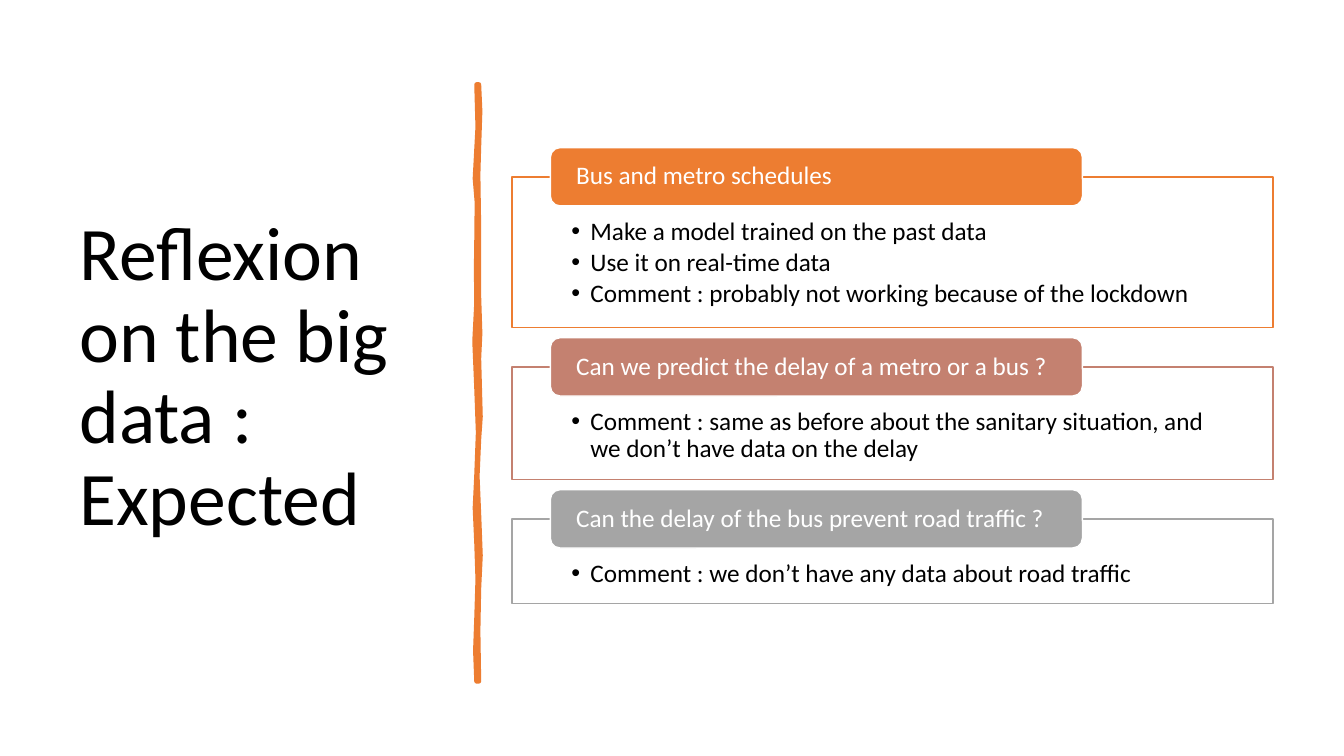
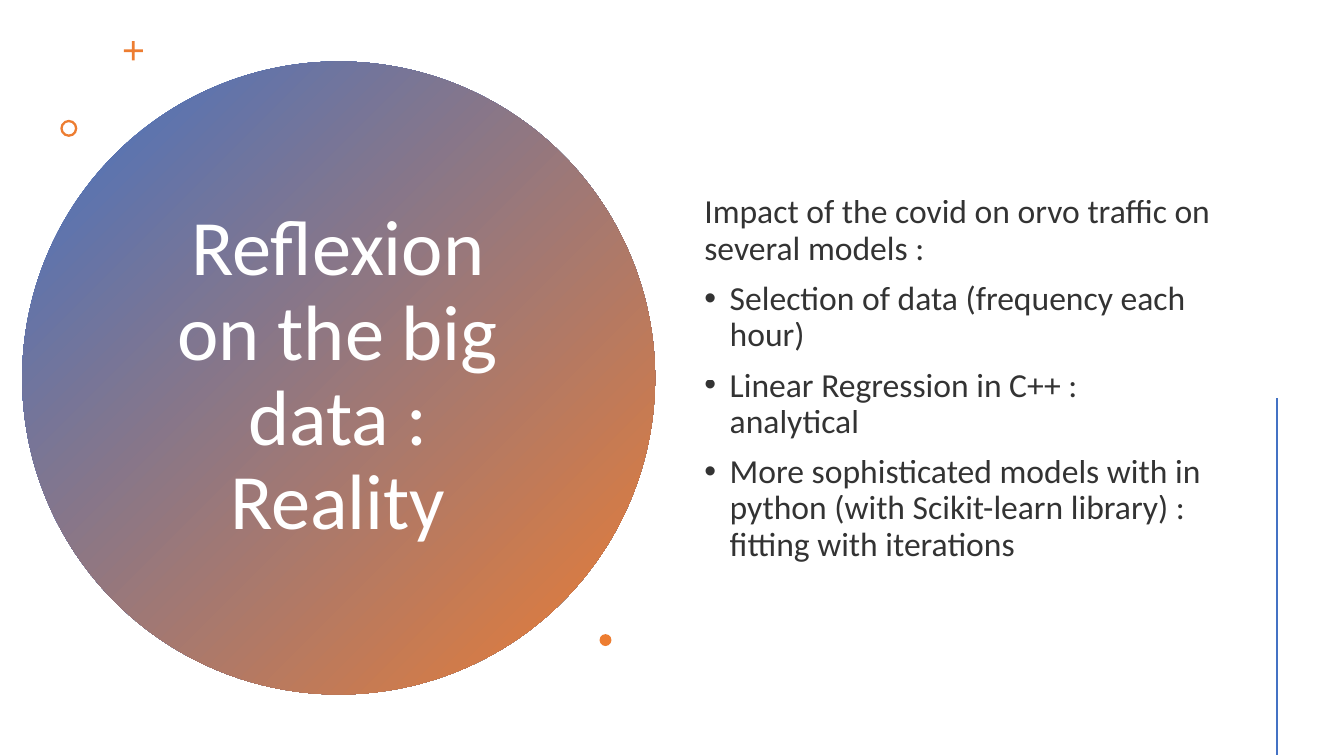
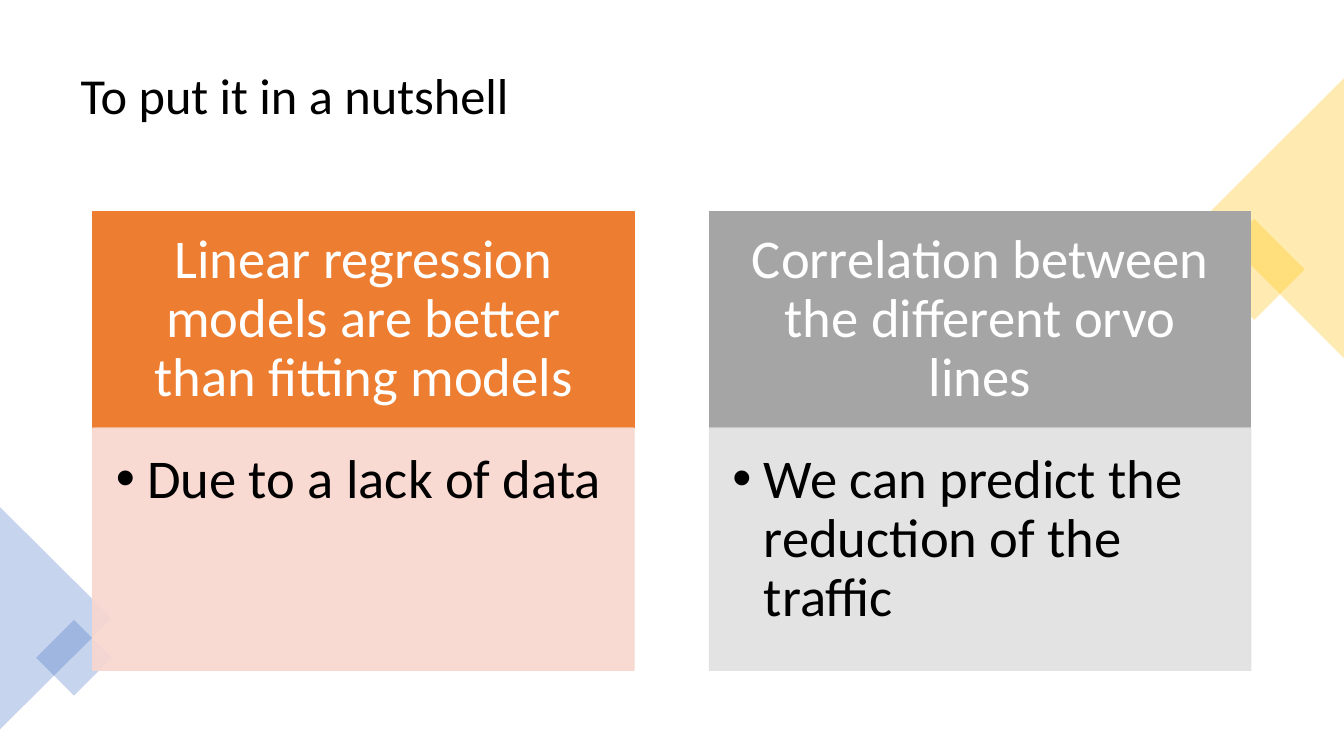
"""Builds three slides on the big data reflexion: expectations, reality and summary."""
from dataclasses import dataclass

from lxml.etree import SubElement
from pptx import Presentation
from pptx.dml.color import RGBColor
from pptx.enum.shapes import MSO_CONNECTOR, MSO_SHAPE
from pptx.enum.text import MSO_ANCHOR, MSO_AUTO_SIZE, PP_ALIGN
from pptx.oxml.ns import qn
from pptx.util import Cm, Pt


@dataclass(frozen=True)
class Theme:
    """Colours, font and type sizes of the deck."""
    font: str = "Calibri"
    black: str = "000000"
    white: str = "FFFFFF"
    blue: str = "4472C4"
    orange: str = "ED7D31"
    rose: str = "C48170"
    grey: str = "A5A5A5"
    gold: str = "FFC000"
    pale_orange: str = "F8D7CE"
    pale_grey: str = "E1E1E1"
    tall_title: int = 54
    round_title: int = 56
    wide_title: int = 36
    body: int = 24
    panel: int = 18
    card: int = 39


T = Theme()

DIVIDER = [
    (12.07, 2.13), (12.1, 2.8), (12.07, 3.7), (12.05, 4.4), (12.07, 5.74),
    (12.07, 7.47), (12.1, 8.4), (12.07, 9.04), (12.11, 10.5), (12.07, 11.07),
    (12.03, 12), (12.07, 12.95), (12.11, 14), (12.07, 14.83), (12.05, 15.9),
    (12.07, 17.17), (12.01, 17.17), (11.98, 16.4), (12.01, 15.57),
    (12.04, 14.6), (12.01, 13.7), (11.97, 12.8), (12.01, 11.96), (12.05, 10.9),
    (12.01, 9.8), (11.96, 8.6), (12.01, 7.62), (12.0, 6.8), (12.01, 6.05),
    (12.02, 5.1), (11.97, 4.5), (12.04, 3.2), (12.01, 2.13),
]

PANELS = [
    ("Bus and metro schedules", T.orange, 3.79,
     ["Make a model trained on the past data",
      "Use it on real-time data",
      "Comment : probably not working because of the lockdown"]),
    ("Can we predict the delay of a metro or a bus ?", T.rose, 2.83,
     ["Comment : same as before about the sanitary situation, and we don’t have data on the delay"]),
    ("Can the delay of the bus prevent road traffic ?", T.grey, 2.13,
     ["Comment : we don’t have any data about road traffic"]),
]

CARDS = [
    ("Linear regression models are better than fitting models",
     "Due to a lack of data", T.orange, T.pale_orange),
    ("Correlation between the different orvo lines",
     "We can predict the reduction of the traffic", T.grey, T.pale_grey),
]


def apply(obj, values):
    """Set each named attribute of an object."""
    for name, value in values.items():
        setattr(obj, name, value)


def paint(fill, colour, alpha=100):
    """Give a fill one colour, with an opacity in percent."""
    fill.solid()
    fill.fore_color.rgb = RGBColor.from_string(colour)
    if alpha < 100:
        clr = next(fill._xPr.iter(qn("a:srgbClr")))
        SubElement(clr, qn("a:alpha"), val=str(alpha * 1000))


def outline(sp, colour=None, width=1, alpha=100):
    """Draw a shape's outline, or remove it when no colour is given."""
    if colour:
        paint(sp.line.fill, colour, alpha)
        sp.line.width = Pt(width)
    else:
        sp.line.fill.background()


def place(sp, box):
    """Move and size a shape to left, top, width and height in centimetres."""
    apply(sp, dict(zip(("left", "top", "width", "height"), map(Cm, box))))


def set_bullet(p, indent):
    """Give a paragraph a hanging bullet, or none when the indent is zero."""
    pPr = p._p.get_or_add_pPr()
    pPr.set("marL", str(Cm(indent)))
    pPr.set("indent", str(-Cm(indent)))
    if indent:
        SubElement(pPr, qn("a:buFont"), typeface="Arial")
        SubElement(pPr, qn("a:buChar"), char="•")
    else:
        SubElement(pPr, qn("a:buNone"))


def write(sp, lines, size, colour=T.black, alpha=100, align=PP_ALIGN.LEFT,
          anchor=MSO_ANCHOR.MIDDLE, insets=(0.25, 0.13, 0.25, 0.13),
          indents=None, before=0, after=0):
    """Fill a shape with formatted paragraphs."""
    tf = sp.text_frame
    sides = ("margin_left", "margin_top", "margin_right", "margin_bottom")
    apply(tf, {"word_wrap": True, "auto_size": MSO_AUTO_SIZE.NONE,
               "vertical_anchor": anchor, **dict(zip(sides, map(Cm, insets)))})
    for i, line in enumerate(lines):
        p = tf.add_paragraph() if i else tf.paragraphs[0]
        apply(p, {"alignment": align, "line_spacing": 0.9,
                  "space_before": Pt(before), "space_after": Pt(after)})
        set_bullet(p, indents[i] if indents else 0)
        r = p.add_run()
        r.text = line
        apply(r.font, {"name": T.font, "size": Pt(size)})
        paint(r.font.fill, colour, alpha)


def add_title(s, text, box, size, **style):
    """Place and write the slide title."""
    place(s.shapes.title, box)
    write(s.shapes.title, [text], size, **style)


def add_block(s, kind, box, colour, alpha=100, rotation=0, adjust=None):
    """Add a flat preset shape without an outline."""
    sp = s.shapes.add_shape(kind, *map(Cm, box))
    sp.shadow.inherit = False
    sp.rotation = rotation
    if adjust is not None:
        sp.adjustments[0] = adjust
    paint(sp.fill, colour, alpha)
    outline(sp)
    return sp


def add_divider(s):
    """Add the hand-drawn vertical stroke."""
    points = [(Cm(x), Cm(y)) for x, y in DIVIDER]
    builder = s.shapes.build_freeform(*points[0])
    builder.add_line_segments(points[1:], close=True)
    sp = builder.convert_to_shape()
    sp.shadow.inherit = False
    paint(sp.fill, T.orange)
    outline(sp, T.orange, 3.25)


def add_panel(s, top, height, label, colour, lines):
    """Add an outlined list with a rounded label on its top edge."""
    sp = add_block(s, MSO_SHAPE.RECTANGLE, (12.9, top, 19.18, height), T.white, 90)
    outline(sp, colour)
    write(sp, lines, T.panel, anchor=MSO_ANCHOR.TOP, insets=(1.5, 1.04, 1.5, 0.36),
          indents=[0.48] * len(lines), after=2.7)
    sp = add_block(s, MSO_SHAPE.ROUNDED_RECTANGLE, (13.87, top - 0.74, 13.41, 1.47), colour)
    outline(sp, T.white)
    write(sp, [label], T.panel, T.white, insets=(0.58, 0, 0.58, 0))


def add_card(s, left, heading, line, colour, pale):
    """Add a coloured heading above a pale list."""
    sp = add_block(s, MSO_SHAPE.RECTANGLE, (left, 5.33, 13.64, 5.46), colour)
    outline(sp, colour)
    write(sp, [heading], T.card, T.white, align=PP_ALIGN.CENTER,
          insets=(0.76, 0.43, 0.76, 0.43))
    sp = add_block(s, MSO_SHAPE.RECTANGLE, (left, 10.79, 13.64, 6.1), pale, 90)
    outline(sp, pale, alpha=90)
    write(sp, [line], T.card, anchor=MSO_ANCHOR.TOP,
          insets=(0.58, 0.58, 0.76, 0.86), indents=[0.79])


def add_gradient_circle(s):
    """Add the large circle behind the title."""
    sp = add_block(s, MSO_SHAPE.OVAL, (0.56, 1.55, 15.95, 15.95), T.blue)
    sp.fill.gradient()
    sp.fill.gradient_angle = 315
    for stop, colour in zip(sp.fill.gradient_stops, (T.blue, T.orange)):
        stop.color.rgb = RGBColor.from_string(colour)
    s.shapes.title.element.addprevious(sp.element)


def add_rule(s, x, top, bottom):
    """Add a vertical line."""
    line = s.shapes.add_connector(MSO_CONNECTOR.STRAIGHT, Cm(x), Cm(top), Cm(x), Cm(bottom))
    outline(line, T.blue, 2)
    SubElement(line.element.spPr, qn("a:effectLst"))


def build_expected(s):
    """Build the slide on what was expected."""
    add_title(s, "Reflexion on the big data : Expected", (1.75, 1.78, 9.5, 15.52), T.tall_title)
    add_divider(s)
    top, gap = 4.46, 1
    for label, colour, height, lines in PANELS:
        add_panel(s, top, height, label, colour, lines)
        top += height + gap


def build_reality(s):
    """Build the slide on what was done."""
    add_title(s, "Reflexion on the big data : Reality", (3.45, 3.58, 10.13, 11.86),
              T.round_title, colour=T.white, align=PP_ALIGN.CENTER)
    add_gradient_circle(s)
    add_block(s, MSO_SHAPE.CROSS, (3.12, 1.04, 0.48, 0.48), T.orange, adjust=0.43)
    add_block(s, MSO_SHAPE.DONUT, (1.52, 3.02, 0.43, 0.43), T.orange, adjust=0.14)
    body = s.placeholders[1]
    place(body, (17.5, 1.45, 13.26, 16.21))
    write(body, ["Impact of the covid on orvo traffic on several models :",
                 "Selection of data (frequency each hour)",
                 "Linear Regression in C++ : analytical",
                 "More sophisticated models with in python (with Scikit-learn library) : "
                 "fitting with iterations"],
          T.body, alpha=80, indents=[0, 0.64, 0.64, 0.64], before=10)
    add_block(s, MSO_SHAPE.OVAL, (15.11, 15.98, 0.3, 0.3), T.orange)
    add_rule(s, 32.18, 10.03, 19.02)


def build_summary(s):
    """Build the closing slide."""
    add_title(s, "To put it in a nutshell", (1.78, 0.89, 30.3, 3.15), T.wide_title)
    for kind, box, colour, rotation in (
            (MSO_SHAPE.RECTANGLE, (30.71, 5.89, 1.8, 1.8), T.gold, 45),
            (MSO_SHAPE.ISOSCELES_TRIANGLE, (28.58, 3.73, 7.04, 3.53), T.gold, 270),
            (MSO_SHAPE.ISOSCELES_TRIANGLE, (-1.4, 14.17, 5.61, 2.82), T.blue, 90),
            (MSO_SHAPE.RECTANGLE, (1.19, 15.9, 1.35, 1.35), T.blue, 45)):
        add_block(s, kind, box, colour, 30, rotation)
    for i, card in enumerate(CARDS):
        add_card(s, 2.34 + i * 15.54, *card)


def main():
    """Build and save the deck."""
    prs = Presentation()
    prs.slide_width, prs.slide_height = Cm(33.87), Cm(19.05)
    for layout, build in ((5, build_expected), (1, build_reality), (5, build_summary)):
        build(prs.slides.add_slide(prs.slide_layouts[layout]))
    prs.save("out.pptx")


if __name__ == "__main__":
    main()
